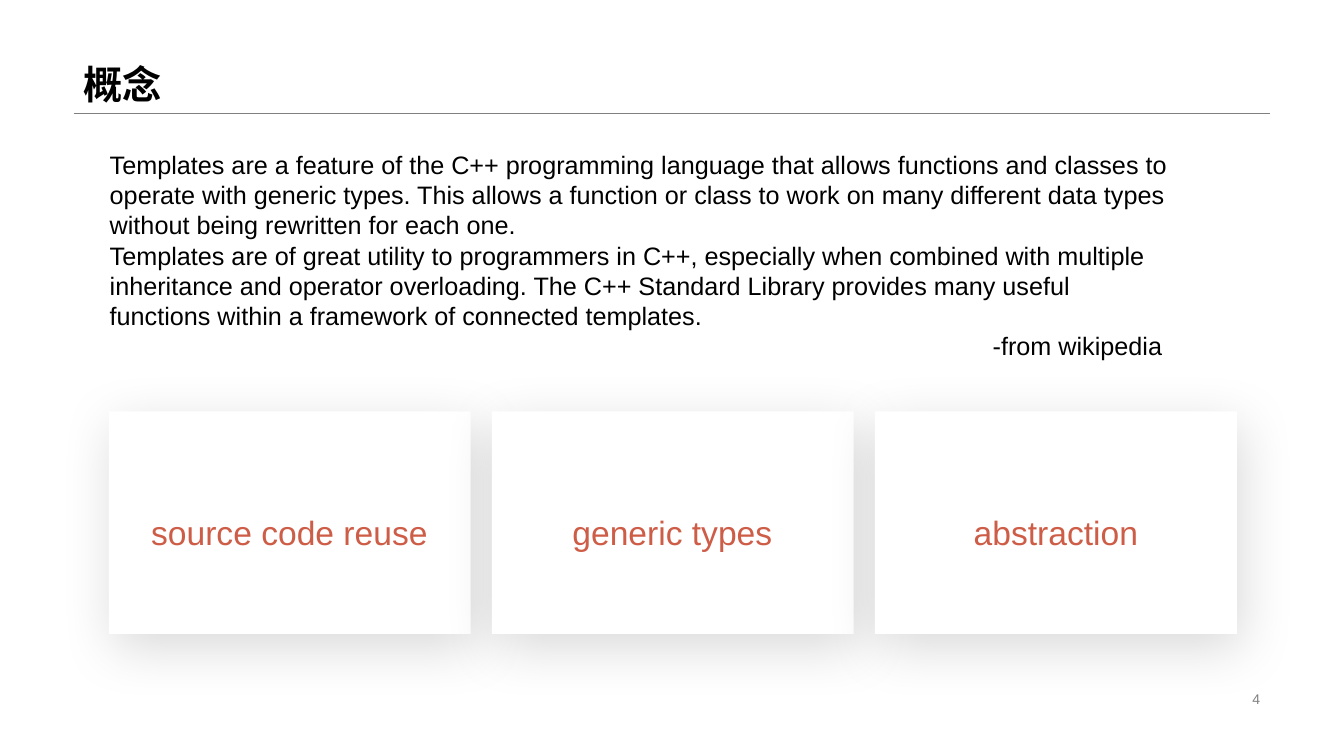
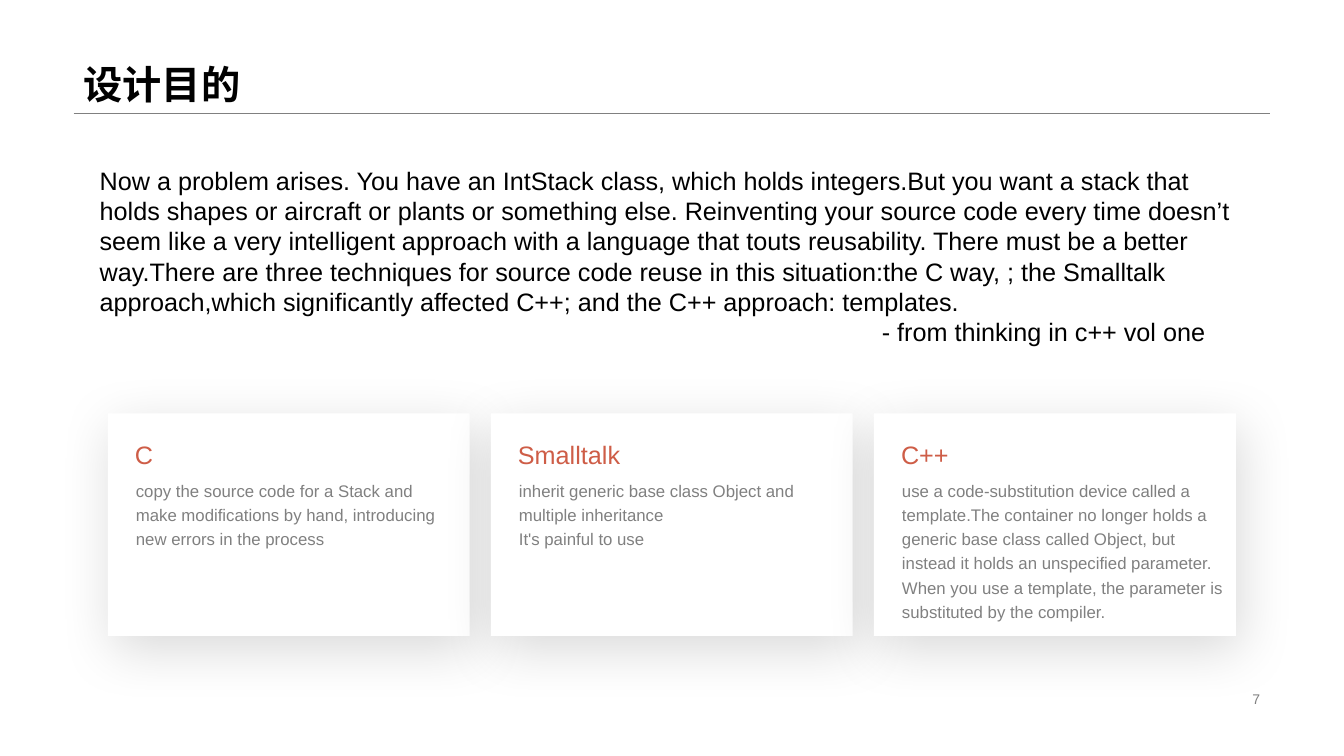
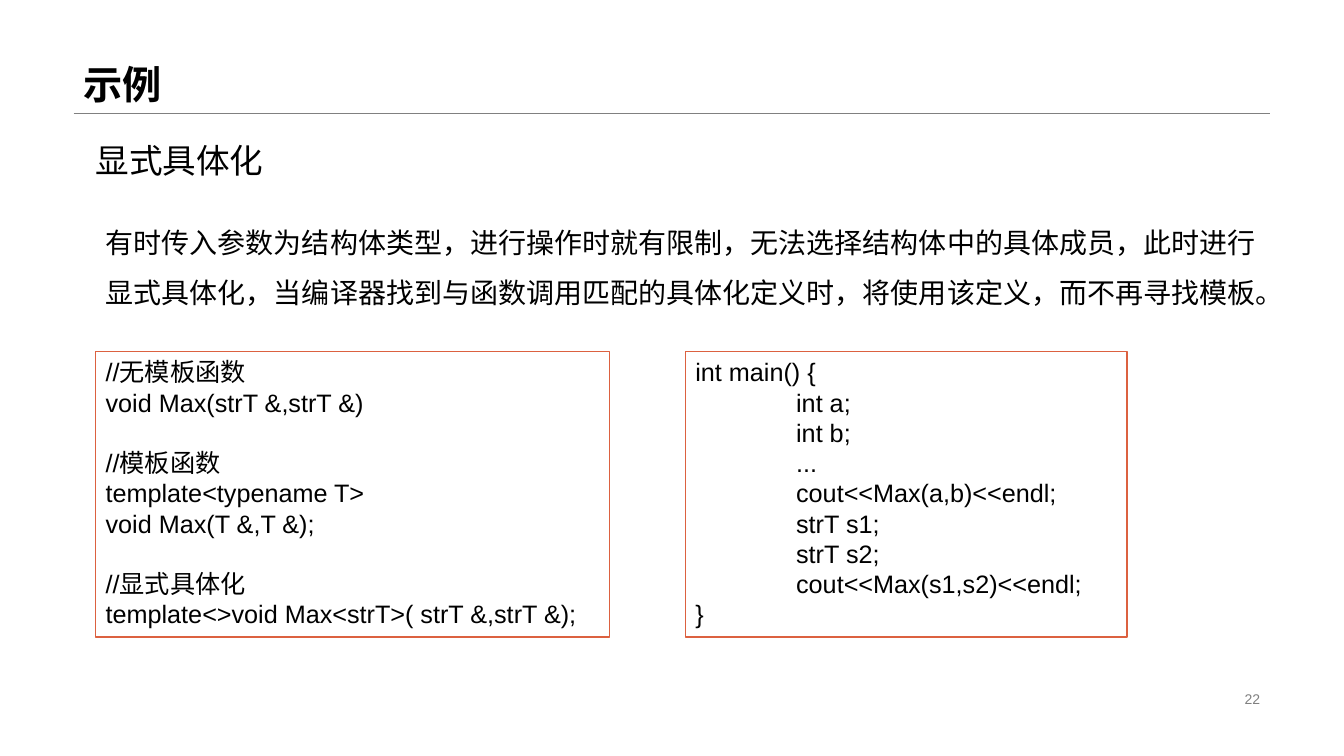
from dataclasses import dataclass

from lxml.etree import SubElement
from pptx import Presentation
from pptx.dml.color import RGBColor
from pptx.enum.shapes import MSO_CONNECTOR, MSO_SHAPE
from pptx.enum.text import MSO_ANCHOR, MSO_AUTO_SIZE, PP_ALIGN
from pptx.oxml.ns import qn
from pptx.util import Emu, Inches, Pt

EMU_PER_PX = 9144


def px(length):
    return Emu(length * EMU_PER_PX)


@dataclass(frozen=True)
class Theme:
    latin: str = "Arial"
    chinese: str = "Noto Sans CJK SC"
    black: RGBColor = RGBColor(0, 0, 0)
    white: RGBColor = RGBColor(255, 255, 255)
    gray: RGBColor = RGBColor(0x80, 0x80, 0x80)
    accent: RGBColor = RGBColor(0xCE, 0x5D, 0x47)
    frame: RGBColor = RGBColor(0xDC, 0x61, 0x40)
    title: int = 28
    heading: int = 24
    intro: int = 20
    body: int = 18
    detail: int = 12
    number: int = 10
    code_gap: float = 21.6


class Deck:
    def __init__(self, theme):
        self.theme = theme
        self.presentation = Presentation()
        self.presentation.slide_width = Inches(40 / 3)
        self.presentation.slide_height = px(750)
        self.slide = None

    def format(self, paragraph, size, color=None, bold=False, name=None,
               align=PP_ALIGN.LEFT, spacing=None):
        font = paragraph.font
        font.size = Pt(size)
        font.bold = bold
        font.name = name or self.theme.latin
        font.color.rgb = color or self.theme.black
        properties = paragraph._p.get_or_add_pPr()
        SubElement(properties.find(qn("a:defRPr")), qn("a:ea"),
                   typeface=self.theme.chinese)
        paragraph.alignment = align
        if spacing:
            paragraph.line_spacing = spacing

    def start(self, title, number):
        layout = self.presentation.slide_layouts[5]
        self.slide = self.presentation.slides.add_slide(layout)
        self.rule(73, 1260, 112)
        shape = self.slide.shapes.title
        shape.left, shape.top, shape.width, shape.height = map(px, (73, 0, 1187, 112))
        frame = shape.text_frame
        frame.text = title
        frame.auto_size = MSO_AUTO_SIZE.NONE
        frame.vertical_anchor = MSO_ANCHOR.BOTTOM
        self.format(frame.paragraphs[0], self.theme.title, bold=True, spacing=0.9)
        page = self.text((942, 682, 318, 23), [str(number)], self.theme.number,
                         color=self.theme.gray, align=PP_ALIGN.RIGHT)
        page.text_frame.vertical_anchor = MSO_ANCHOR.MIDDLE

    def rule(self, left, right, top):
        connector = self.slide.shapes.add_connector(
            MSO_CONNECTOR.STRAIGHT, px(left), px(top), px(right), px(top))
        connector.line.color.rgb = self.theme.gray
        connector.line.width = Pt(0.25)
        SubElement(connector.element.spPr, qn("a:effectLst"))

    def text(self, box, lines, size, **style):
        shape = self.slide.shapes.add_textbox(*map(px, box))
        frame = shape.text_frame
        frame.word_wrap = True
        for index, line in enumerate(lines):
            paragraph = frame.add_paragraph() if index else frame.paragraphs[0]
            paragraph.text = line
            self.format(paragraph, size, **style)
        return shape

    def quotation(self, box, lines, source, indent):
        shape = self.text(box, [*lines, source], self.theme.body)
        properties = shape.text_frame.paragraphs[-1]._p.get_or_add_pPr()
        properties.set("marL", str(px(indent)))

    def label(self, box, words, size, align):
        shape = self.text(box, [words], size, color=self.theme.accent,
                          align=align, spacing=1.2)
        shape.text_frame.word_wrap = False
        shape.text_frame.auto_size = MSO_AUTO_SIZE.SHAPE_TO_FIT_TEXT

    def card(self, box):
        shape = self.slide.shapes.add_shape(MSO_SHAPE.RECTANGLE, *map(px, box))
        shape.fill.solid()
        shape.fill.fore_color.rgb = self.theme.white
        shape.line.fill.background()
        shape.shadow.inherit = False
        effects = shape.element.spPr.find(qn("a:effectLst"))
        shadow = SubElement(effects, qn("a:outerShdw"), blurRad=str(Pt(40)),
                            dist=str(Pt(10)), dir=str(70 * 60000),
                            algn="t", rotWithShape="0")
        color = SubElement(shadow, qn("a:srgbClr"), val=str(self.theme.black))
        SubElement(color, qn("a:alpha"), val="15000")

    def cards(self, left, top):
        width, height, step = 359, 221, 380
        for index in range(3):
            card_left = left + index * step
            self.card((card_left, top, width, height))
            yield card_left, width

    def code(self, box, blocks):
        lines = [line for block in blocks for line in block]
        shape = self.text(box, lines, self.theme.body)
        shape.line.color.rgb = self.theme.frame
        shape.line.width = Pt(1)
        paragraphs = shape.text_frame.paragraphs
        for paragraph in paragraphs:
            properties = paragraph._p.get_or_add_pPr()
            tabs = SubElement(properties, qn("a:tabLst"))
            SubElement(tabs, qn("a:tab"), pos=str(px(100)), algn="l")
            properties.find(qn("a:defRPr")).addprevious(tabs)
        start = 0
        for block in blocks[:-1]:
            start += len(block)
            paragraphs[start].space_before = Pt(self.theme.code_gap)


def concept(deck):
    deck.start("概念", 4)
    deck.quotation(
        (99, 143, 1071, 222),
        ["Templates are a feature of the C++ programming language that allows "
         "functions and classes to operate with generic types. This allows a "
         "function or class to work on many different data types without being "
         "rewritten for each one.",
         "Templates are of great utility to programmers in C++, especially when "
         "combined with multiple inheritance and operator overloading. The C++ "
         "Standard Library provides many useful functions within a framework of "
         "connected templates."],
        "-from wikipedia", 876)
    labels = [("source code reuse", 298), ("generic types", 222), ("abstraction", 187)]
    for (left, card_width), (words, width) in zip(deck.cards(108, 408), labels):
        deck.label((left + (card_width - width) // 2, 495, width, 58),
                   words, deck.theme.heading, PP_ALIGN.CENTER)


def purpose(deck):
    deck.start("设计目的", 7)
    deck.quotation(
        (89, 159, 1155, 192),
        ["Now a problem arises. You have an IntStack class, which holds "
         "integers.But you want a stack that holds shapes or aircraft or plants "
         "or something else. Reinventing your source code every time doesn’t seem "
         "like a very intelligent approach with a language that touts reusability. "
         "There must be a better way.There are three techniques for source code "
         "reuse in this situation:the C way, ; the Smalltalk approach,which "
         "significantly affected C++; and the C++ approach: templates."],
        "- from thinking in c++ vol one", 776)
    approaches = [
        ("C", 40, 320, 83,
         ["copy the source code for a Stack and make modifications by hand, "
          "introducing new errors in the process"]),
        ("Smalltalk", 125, 320, 83,
         ["inherit generic base class Object and multiple inheritance",
          "It's painful to use"]),
        ("C++", 71, 341, 155,
         ["use a code-substitution device called a template.The container no "
          "longer holds a generic base class called Object, but instead it holds "
          "an unspecified parameter. When you use a template, the parameter is "
          "substituted by the compiler."]),
    ]
    for (left, _), approach in zip(deck.cards(107, 410), approaches):
        language, label_width, width, height, lines = approach
        deck.label((left + 17, 425, label_width, 46), language,
                   deck.theme.body, PP_ALIGN.LEFT)
        deck.text((left + 18, 468, width, height), lines, deck.theme.detail,
                  color=deck.theme.gray, spacing=1.2)


def example(deck):
    deck.start("示例", 22)
    deck.text((85, 134, 413, 50), ["显式具体化"], deck.theme.heading)
    deck.text((95, 202, 1181, 111),
              ["有时传入参数为结构体类型，进行操作时就有限制，无法选择结构体中的具体成员，"
               "此时进行显式具体化，当编译器找到与函数调用匹配的具体化定义时，"
               "将使用该定义，而不再寻找模板。"],
              deck.theme.intro, name=deck.theme.chinese, spacing=1.5)
    deck.code((95, 349, 510, 283), [
        ["//无模板函数", "void Max(strT &,strT &)"],
        ["//模板函数", "template<typename T>", "void Max(T &,T &);"],
        ["//显式具体化", "template<>void Max<strT>( strT &,strT &);"],
    ])
    deck.code((680, 349, 438, 283), [
        ["int main() {", "\tint a;", "\tint b;", "\t...", "\tcout<<Max(a,b)<<endl;",
         "\tstrT s1;", "\tstrT s2;", "\tcout<<Max(s1,s2)<<endl;", "}"],
    ])


def main():
    deck = Deck(Theme())
    for build in (concept, purpose, example):
        build(deck)
    deck.presentation.save("out.pptx")


if __name__ == "__main__":
    main()
